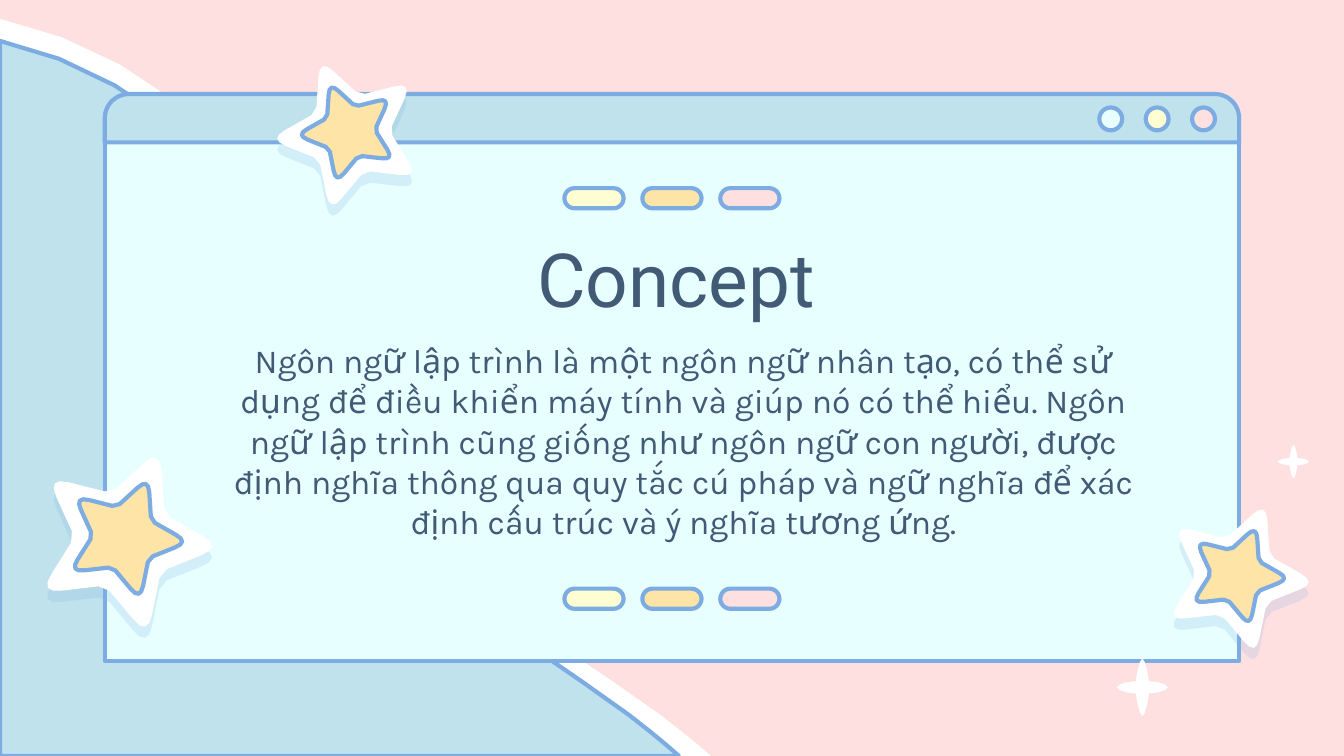
import itertools
import math
from dataclasses import dataclass
from typing import NamedTuple

import pptx
import pptx.dml.color
import pptx.enum.shapes
import pptx.enum.text
import pptx.oxml.ns
import pptx.util
from lxml import etree

SHAPES = pptx.enum.shapes.MSO_SHAPE
ANCHORS = pptx.enum.text.MSO_ANCHOR
COLUMNS = 100
ROWS = 56.25
CELL = pptx.util.Inches(0.1)


class Point(NamedTuple):
    x: float
    y: float


class Box(NamedTuple):
    left: float
    top: float
    width: float
    height: float


class Star(NamedTuple):
    center: Point
    width: float
    rotation: float


class ButtonRow(NamedTuple):
    geometry: int
    first: Box
    pitch: float
    fills: tuple


@dataclass(frozen=True)
class Theme:
    pink: str = "FFE0E1"
    white: str = "FFFFFF"
    sky: str = "BFE2EC"
    ice: str = "E7FFFF"
    cream: str = "FFFDD1"
    gold: str = "FEE4A7"
    outline: str = "7CACE1"
    ink: str = "415A75"
    outline_width: float = 2.25
    title_font: str = "Roboto"
    title_size: int = 40
    body_font: str = "Karla"
    body_size: int = 18


THEME = Theme()

HILL = (
    ((0, 1.4), (7.8, 3.1), (15, 7.8), (19.4, 14.4)),
    ((19.4, 14.4), (24.5, 22.2), (25.9, 32), (31.7, 39.4)),
    ((31.7, 39.4), (36.2, 45.1), (43, 48.7), (49, 53.1)),
    ((49, 53.1), (50.3, 54.1), (51.6, 55.1), (52.9, ROWS)),
)
SPARKLE_QUARTER = (
    ((0, -1), (0.1, -1), (0.22, -0.5), (0.26, -0.21)),
    ((0.26, -0.21), (0.6, -0.21), (1, -0.1), (1, 0)),
)
STARS = (
    Star(Point(25.85, 9.5), 10.3, -21.8),
    Star(Point(9.4, 39.65), 12.6, 21.8),
    Star(Point(92.15, 42.5), 10.3, 21.8),
)
INNER_STAR_SHARE = 0.65
PILL_FILLS = (THEME.cream, THEME.gold, THEME.pink)
BUTTON_ROWS = (
    ButtonRow(SHAPES.OVAL, Box(81.8, 8, 1.7, 1.7), 3.45, (THEME.ice, THEME.cream, THEME.pink)),
    ButtonRow(SHAPES.ROUNDED_RECTANGLE, Box(42, 14, 4.4, 1.5), 5.8, PILL_FILLS),
    ButtonRow(SHAPES.ROUNDED_RECTANGLE, Box(42, 43.8, 4.4, 1.5), 5.8, PILL_FILLS),
)
CONCEPT = (
    "Ngôn ngữ lập trình là một ngôn ngữ nhân tạo, có thể sử dụng để điều khiển "
    "máy tính và giúp nó có thể hiểu. Ngôn ngữ lập trình cũng giống như ngôn ngữ "
    "con người, được định nghĩa thông qua quy tắc cú pháp và ngữ nghĩa để xác "
    "định cấu trúc và ý nghĩa tương ứng."
)


def cells(count: float) -> int:
    return round(count * CELL)


def rgb(color: str):
    return pptx.dml.color.RGBColor.from_string(color)


def mix(start, end, share: float) -> Point:
    return Point(*(a + (b - a) * share for a, b in zip(start, end)))


def bezier(controls, share: float) -> Point:
    while len(controls) > 1:
        controls = [mix(a, b, share) for a, b in zip(controls, controls[1:])]
    return Point(*controls[0])


def trace(curves, steps: int) -> list[Point]:
    return [bezier(curve, step / steps) for curve in curves for step in range(steps + 1)]


def paint(shape, fill: str, outlined: bool = True):
    shape.shadow.inherit = False
    shape.fill.solid()
    shape.fill.fore_color.rgb = rgb(fill)
    if outlined:
        shape.line.color.rgb = rgb(THEME.outline)
        shape.line.width = pptx.util.Pt(THEME.outline_width)
    else:
        shape.line.fill.background()
    return shape


def draw_outline(slide, points: list[Point], fill: str, outlined: bool = True):
    corners = [key for key, _ in itertools.groupby((cells(x), cells(y)) for x, y in points)]
    builder = slide.shapes.build_freeform(*corners[0])
    builder.add_line_segments(corners[1:], close=True)
    return paint(builder.convert_to_shape(), fill, outlined)


def draw_preset(slide, geometry: int, box: Box, fill: str):
    return paint(slide.shapes.add_shape(geometry, *map(cells, box)), fill)


def draw_hill(slide, x_share: float, y_share: float, fill: str, outlined: bool) -> None:
    edge = [Point(x * x_share, ROWS - (ROWS - y) * y_share) for x, y in trace(HILL, 5)]
    draw_outline(slide, edge + [Point(0, ROWS)], fill, outlined)


def draw_sparkle(slide, box: Box) -> None:
    quarter = trace(SPARKLE_QUARTER, 3)
    half = quarter + [Point(x, -y) for x, y in reversed(quarter)]
    whole = half + [Point(-x, y) for x, y in reversed(half)]
    points = [
        Point(box.left + box.width * (1 + x) / 2, box.top + box.height * (1 + y) / 2)
        for x, y in whole
    ]
    draw_outline(slide, points, THEME.white, outlined=False)


def star_points(center: Point, width: float) -> list[Point]:
    corners = []
    for index in range(10):
        radius = 0.3 if index % 2 else 0.61
        angle = math.radians(36 * index)
        corners.append(Point(radius * math.sin(angle), -radius * math.cos(angle)))
    points = []
    for index, corner in enumerate(corners):
        cut, steps = (0.1, 1) if index % 2 else (0.34, 4)
        before, after = corners[index - 1], corners[(index + 1) % 10]
        points += trace([(mix(corner, before, cut), corner, mix(corner, after, cut))], steps)
    xs, ys = zip(*points)
    scale = width / (max(xs) - min(xs))
    middle = (min(ys) + max(ys)) / 2
    return [Point(center.x + x * scale, center.y + (y - middle) * scale) for x, y in points]


def add_drop_shadow(shape) -> None:
    qn = pptx.oxml.ns.qn
    effects = shape.element.spPr.find(qn("a:effectLst"))
    shadow = etree.SubElement(effects, qn("a:outerShdw"), blurRad="0",
                              dist=str(pptx.util.Pt(6)), dir="5400000", rotWithShape="0")
    color = etree.SubElement(shadow, qn("a:srgbClr"), val=THEME.outline)
    etree.SubElement(color, qn("a:alpha"), val="19000")


def draw_star(slide, star: Star) -> None:
    sticker = draw_outline(slide, star_points(star.center, star.width), THEME.white, outlined=False)
    add_drop_shadow(sticker)
    heart = draw_outline(slide, star_points(star.center, star.width * INNER_STAR_SHARE), THEME.gold)
    for layer in (sticker, heart):
        layer.rotation = star.rotation


def draw_buttons(slide, row: ButtonRow) -> None:
    for index, fill in enumerate(row.fills):
        box = row.first._replace(left=row.first.left + index * row.pitch)
        button = draw_preset(slide, row.geometry, box, fill)
        if row.geometry == SHAPES.ROUNDED_RECTANGLE:
            button.adjustments[0] = 0.5


def write_text(slide, box: Box, text: str, font: str, size: int, anchor) -> None:
    frame = slide.shapes.add_textbox(*map(cells, box)).text_frame
    frame.word_wrap = True
    frame.vertical_anchor = anchor
    frame.margin_left = frame.margin_right = frame.margin_top = frame.margin_bottom = cells(1)
    paragraph = frame.paragraphs[0]
    paragraph.text = text
    paragraph.alignment = pptx.enum.text.PP_ALIGN.CENTER
    paragraph.font.name = font
    paragraph.font.size = pptx.util.Pt(size)
    paragraph.font.color.rgb = rgb(THEME.ink)


def main() -> None:
    deck = pptx.Presentation()
    deck.slide_width, deck.slide_height = cells(COLUMNS), cells(ROWS)
    slide = deck.slides.add_slide(deck.slide_layouts[6])
    slide.background.fill.solid()
    slide.background.fill.fore_color.rgb = rgb(THEME.pink)

    draw_hill(slide, 1, 1, THEME.white, outlined=False)
    draw_hill(slide, 0.955, 0.97, THEME.sky, outlined=True)
    draw_sparkle(slide, Box(95.1, 33.1, 2.3, 2.5))
    draw_preset(slide, SHAPES.RECTANGLE, Box(7.8, 10.5, 84.4, 38.7), THEME.ice)
    title_bar = draw_preset(
        slide, SHAPES.ROUND_2_SAME_RECTANGLE, Box(7.8, 7, 84.4, 3.6), THEME.sky)
    title_bar.adjustments[0] = 0.5
    draw_sparkle(slide, Box(83.1, 49, 3.8, 4.3))
    write_text(slide, Box(19.3, 16.2, 62, 8.8), "Concept",
               THEME.title_font, THEME.title_size, ANCHORS.BOTTOM)
    write_text(slide, Box(15.4, 24.3, 70.9, 18), CONCEPT,
               THEME.body_font, THEME.body_size, ANCHORS.TOP)
    for star in STARS:
        draw_star(slide, star)
    for row in BUTTON_ROWS:
        draw_buttons(slide, row)
    deck.save("out.pptx")


if __name__ == "__main__":
    main()
